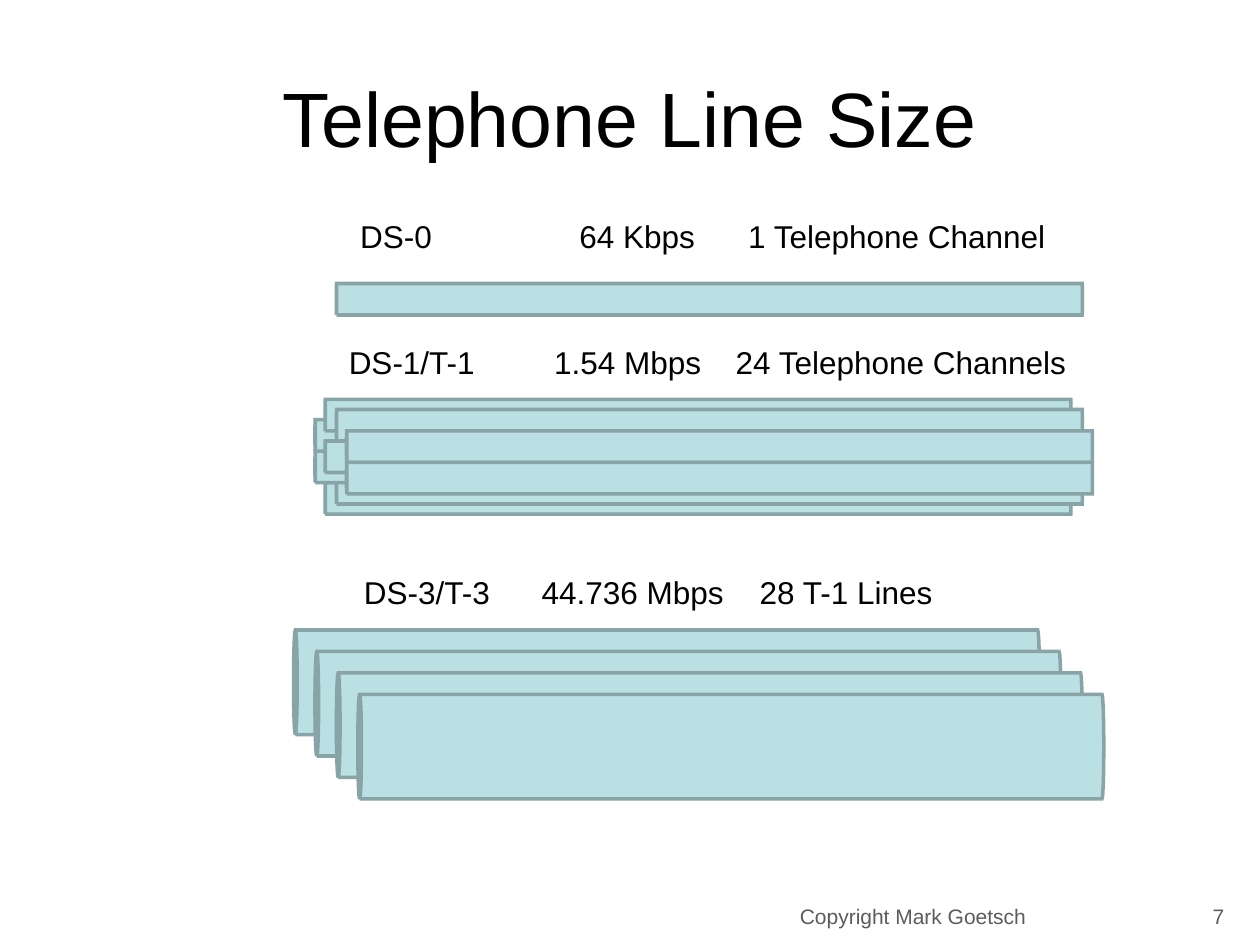
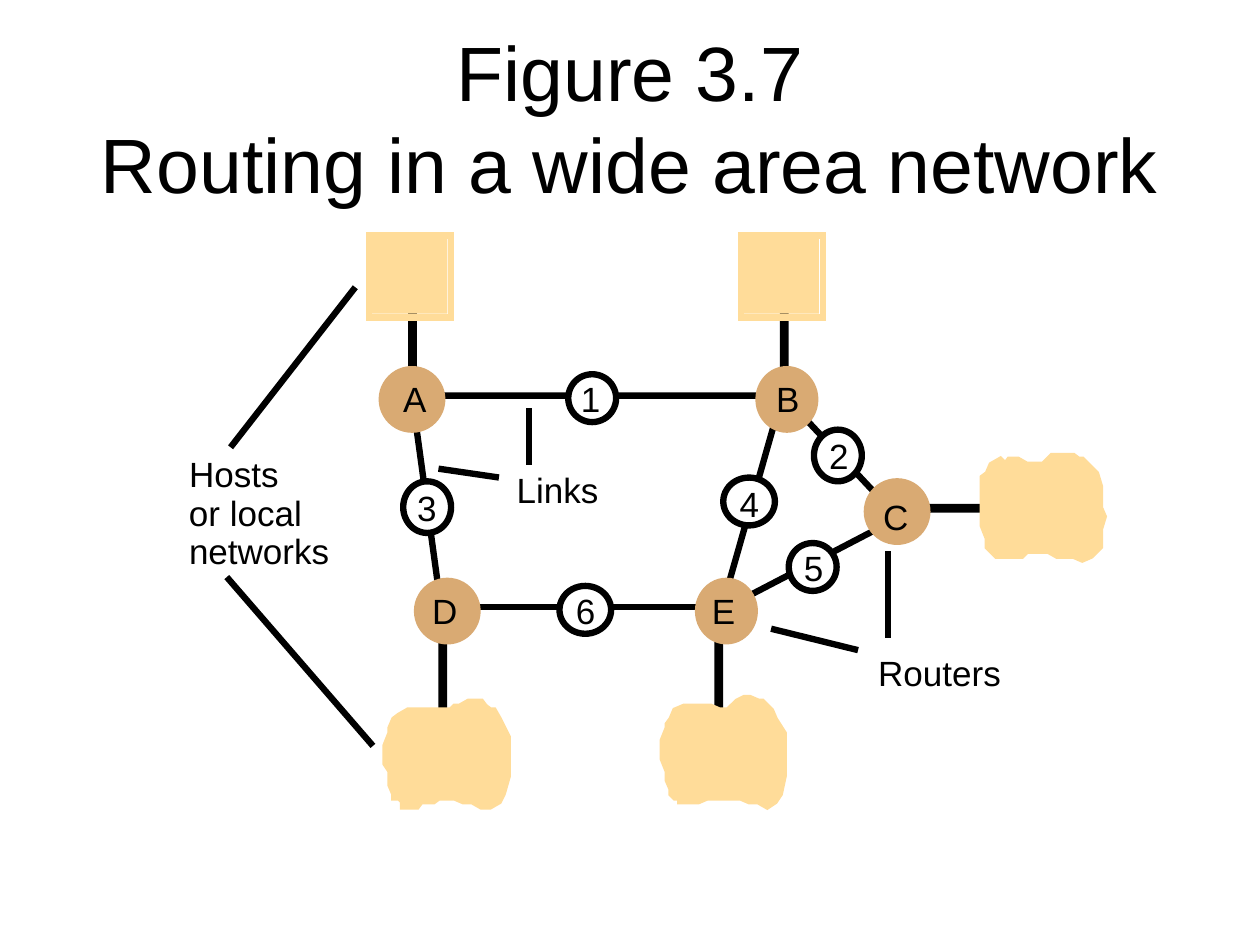
from dataclasses import dataclass

from lxml.etree import SubElement
from pptx import Presentation
from pptx.dml.color import RGBColor
from pptx.enum.shapes import MSO_CONNECTOR, MSO_SHAPE
from pptx.enum.text import MSO_ANCHOR, PP_ALIGN
from pptx.oxml.ns import qn
from pptx.util import Pt

PX = 9144  # EMU in one px, 100 px to the inch


@dataclass(frozen=True)
class Theme:
    font: str = "Arial"
    black: str = "000000"
    white: str = "FFFFFF"
    footer: str = "5C5C5C"
    pipe: str = "BBE0E3"
    pipe_edge: str = "89A4A7"
    router: str = "D9AA73"
    network: str = "FFDC99"
    title_size: int = 44
    diagram_size: int = 20
    body_size: int = 18
    footer_size: int = 12
    pipe_line: float = 2
    diagram_line: float = 3.63


THEME = Theme()

# Telephone lines: caption left, top, tab stops and cells
CAPTIONS = [
    (276, 167, (174, 308), ("DS-0", "64 Kbps", "1 Telephone Channel")),
    (267, 267, (163, 307), ("DS-1/T-1", "1.54 Mbps", "24 Telephone Channels")),
    (279, 450, (141, 314), ("DS-3/T-3", "44.736 Mbps", "28 T-1 Lines")),
]
PIPE_LENGTH = 592
CHANNEL_PIPE = (267, 225)
T1_PIPES = [(258, 383), (267, 375), (250, 358), (250, 333), (258, 317),
            (267, 325), (258, 350), (275, 342), (275, 367)]

# Wide area network: lines as from x, from y, to x, to y
LINKS = [(351, 489, 327, 314), (348, 482, 574, 482),
         (622, 310, 571, 489), (571, 485, 715, 410)]
LINK_A_B_C = [(324, 314), (622, 314), (712, 410)]
POINTERS = [(183, 355, 282, 228), (180, 458, 296, 592),
            (681, 516, 612, 499), (705, 506, 705, 437),
            (396, 379, 348, 372), (420, 369, 420, 324)]
HOST_BARS = [(348, 485, 7, 106), (567, 482, 7, 100), (324, 242, 7, 62),
             (619, 228, 7, 79), (712, 400, 76, 7)]
HOST_LEFTS = (293, 588)
HOST_TOP = 187
# Label, ellipse box, label left and top
ROUTERS = [
    ("A", (303, 293, 48, 48), (320, 300)),
    ("B", (602, 293, 45, 48), (616, 300)),
    ("C", (688, 382, 48, 48), (701, 393)),
    ("D", (331, 461, 48, 48), (343, 468)),
    ("E", (554, 461, 45, 48), (565, 468)),
]
LINK_NUMBERS = [
    ("1", (451, 297, 38, 38), (461, 300)),
    ("2", (646, 341, 38, 41), (658, 345)),
    ("3", (320, 382, 38, 41), (331, 386)),
    ("4", (574, 379, 41, 38), (587, 383)),
    ("5", (626, 431, 38, 38), (638, 434)),
    ("6", (444, 465, 41, 38), (457, 468)),
]
# Label, left, top, width
NOTES = [("Hosts", 150, 359, 85), ("or local", 150, 390, 110),
         ("networks", 150, 420, 125), ("Links", 410, 372, 80),
         ("Routers", 697, 517, 110)]
NETWORK_OUTLINES = [
    [(310, 578), (313, 571), (317, 568), (324, 564), (358, 564), (361, 561),
     (365, 561), (372, 557), (382, 557), (385, 561), (389, 564), (392, 564),
     (396, 571), (403, 585), (403, 616), (399, 630), (396, 636), (389, 640),
     (382, 640), (375, 636), (368, 636), (361, 633), (348, 633), (344, 636),
     (334, 636), (331, 640), (320, 640), (320, 636), (317, 633), (313, 633),
     (313, 630), (310, 623), (310, 612), (306, 606), (306, 592), (310, 582)],
    [(780, 379), (784, 376), (787, 369), (794, 365), (798, 369), (801, 365),
     (808, 365), (815, 369), (828, 369), (832, 365), (835, 362), (852, 362),
     (856, 365), (859, 365), (863, 369), (870, 376), (873, 386), (873, 403),
     (876, 410), (873, 420), (873, 434), (866, 441), (859, 444), (852, 441),
     (839, 441), (832, 437), (815, 437), (811, 441), (791, 441), (787, 437),
     (784, 434), (784, 427), (780, 417)],
    [(530, 575), (533, 571), (536, 564), (543, 561), (564, 561), (571, 564),
     (578, 564), (581, 561), (585, 557), (591, 554), (595, 554), (602, 557),
     (605, 557), (609, 561), (612, 564), (615, 571), (622, 582), (622, 616),
     (619, 630), (615, 636), (609, 640), (602, 636), (595, 636), (588, 633),
     (561, 633), (554, 636), (540, 636), (540, 633), (536, 633), (533, 630),
     (533, 626), (530, 619), (530, 612), (526, 602), (526, 588), (530, 578)],
]


def scaled(*lengths):
    return [round(length * PX) for length in lengths]


def paint(shape, fill=None, line=None, width=THEME.diagram_line):
    """Set fill and sharp-cornered line; None leaves either of them out."""
    shape.shadow.inherit = False
    if fill:
        shape.fill.solid()
        shape.fill.fore_color.rgb = RGBColor.from_string(fill)
    else:
        shape.fill.background()
    if line:
        shape.line.color.rgb = RGBColor.from_string(line)
        shape.line.width = Pt(width)
        outline = shape._element.spPr.find(qn("a:ln"))
        SubElement(outline, qn("a:miter"), lim="800000")
    else:
        shape.line.fill.background()


def add_preset(slide, preset, box, fill=None, line=None):
    shape = slide.shapes.add_shape(preset, *scaled(*box))
    paint(shape, fill, line)


def add_run(paragraph, text, size, color):
    run = paragraph.add_run()
    run.text = text
    run.font.name = THEME.font
    run.font.size = Pt(size)
    run.font.color.rgb = RGBColor.from_string(color)


def add_text(slide, box, text, size, color=THEME.black, align=PP_ALIGN.LEFT,
             anchor=MSO_ANCHOR.TOP, insets=(10, 5)):
    """Add a text box; each line of text becomes a run of one paragraph."""
    shape = slide.shapes.add_textbox(*scaled(*box))
    frame = shape.text_frame
    frame.word_wrap = True
    frame.vertical_anchor = anchor
    frame.margin_left = frame.margin_right = insets[0] * PX
    frame.margin_top = frame.margin_bottom = insets[1] * PX
    paragraph = frame.paragraphs[0]
    paragraph.alignment = align
    for index, line in enumerate(text.split("\n")):
        if index:
            paragraph.add_line_break()
        add_run(paragraph, line, size, color)
    return paragraph


def add_title(slide, text):
    add_text(slide, (50, 30, 900, 125), text, THEME.title_size,
             align=PP_ALIGN.CENTER, anchor=MSO_ANCHOR.MIDDLE)


def add_footer(slide, credit, number):
    for left, width, text, align in ((625, 317, credit, PP_ALIGN.LEFT),
                                     (942, 50, number, PP_ALIGN.CENTER)):
        add_text(slide, (left, 690, width, 52), text, THEME.footer_size,
                 THEME.footer, align, MSO_ANCHOR.BOTTOM)


def add_caption(slide, left, top, stops, cells):
    paragraph = add_text(slide, (left, top, 620, 40), "\t".join(cells),
                         THEME.body_size)
    tabs = SubElement(paragraph._p.get_or_add_pPr(), qn("a:tabLst"))
    for stop in stops:
        SubElement(tabs, qn("a:tab"), pos=str(stop * PX), algn="l")


def add_pipe(slide, left, top, thickness, rim):
    """Lay a can on its side, with left and top as it is seen."""
    shift = (PIPE_LENGTH - thickness) / 2
    box = scaled(left + shift, top - shift, thickness, PIPE_LENGTH)
    pipe = slide.shapes.add_shape(MSO_SHAPE.CAN, *box)
    pipe.rotation = 270
    pipe.adjustments[0] = rim
    paint(pipe, THEME.pipe, THEME.pipe_edge, THEME.pipe_line)


def add_line(slide, *ends):
    line = slide.shapes.add_connector(MSO_CONNECTOR.STRAIGHT, *scaled(*ends))
    line.line.color.rgb = RGBColor.from_string(THEME.black)
    line.line.width = Pt(THEME.diagram_line)
    SubElement(line._element.spPr, qn("a:effectLst"))


def add_outline(slide, points, fill, line, close):
    builder = slide.shapes.build_freeform(*points[0], scale=PX)
    builder.add_line_segments(points[1:], close=close)
    paint(builder.convert_to_shape(), fill, line)


def add_label(slide, text, left, top, width):
    add_text(slide, (left, top, width, 33), text, THEME.diagram_size,
             insets=(0, 0))


def add_nodes(slide, nodes, fill, line):
    for label, box, (left, top) in nodes:
        add_preset(slide, MSO_SHAPE.OVAL, box, fill, line)
        add_label(slide, label, left, top, 25)


def add_host(slide, left):
    add_preset(slide, MSO_SHAPE.RECTANGLE, (left, HOST_TOP, 62, 62),
               fill=THEME.network)
    add_preset(slide, MSO_SHAPE.RECTANGLE, (left, HOST_TOP, 65, 65),
               line=THEME.network)


def build_line_sizes(slide):
    add_title(slide, "Telephone Line Size")
    add_footer(slide, "Copyright Mark Goetsch", "7")
    # Thin pipes: one channel, then the T-1 bundle
    for left, top in [CHANNEL_PIPE] + T1_PIPES:
        add_pipe(slide, left, top, 25, 0.011)
    # Thick pipes of the T-3 stack
    for step in range(4):
        add_pipe(slide, 233 + 17 * step, 500 + 17 * step, 83, 0.035)
    for caption in CAPTIONS:
        add_caption(slide, *caption)


def build_routing(slide):
    add_title(slide, "Figure 3.7\nRouting in a wide area network")
    # Lines lie below the nodes
    add_outline(slide, LINK_A_B_C, None, THEME.black, close=False)
    for ends in LINKS + POINTERS:
        add_line(slide, *ends)
    for bar in HOST_BARS:
        add_preset(slide, MSO_SHAPE.RECTANGLE, bar, fill=THEME.black)
    # Hosts and local networks
    for left in HOST_LEFTS:
        add_host(slide, left)
    for outline in NETWORK_OUTLINES:
        add_outline(slide, outline, THEME.network, THEME.network, close=True)
    # Routers, numbered links and notes
    add_nodes(slide, ROUTERS, THEME.router, THEME.router)
    add_nodes(slide, LINK_NUMBERS, THEME.white, THEME.black)
    for note in NOTES:
        add_label(slide, *note)


def main():
    presentation = Presentation()
    presentation.slide_width, presentation.slide_height = scaled(1000, 750)
    blank = presentation.slide_layouts[6]
    for build in (build_line_sizes, build_routing):
        build(presentation.slides.add_slide(blank))
    presentation.save("out.pptx")


if __name__ == "__main__":
    main()
